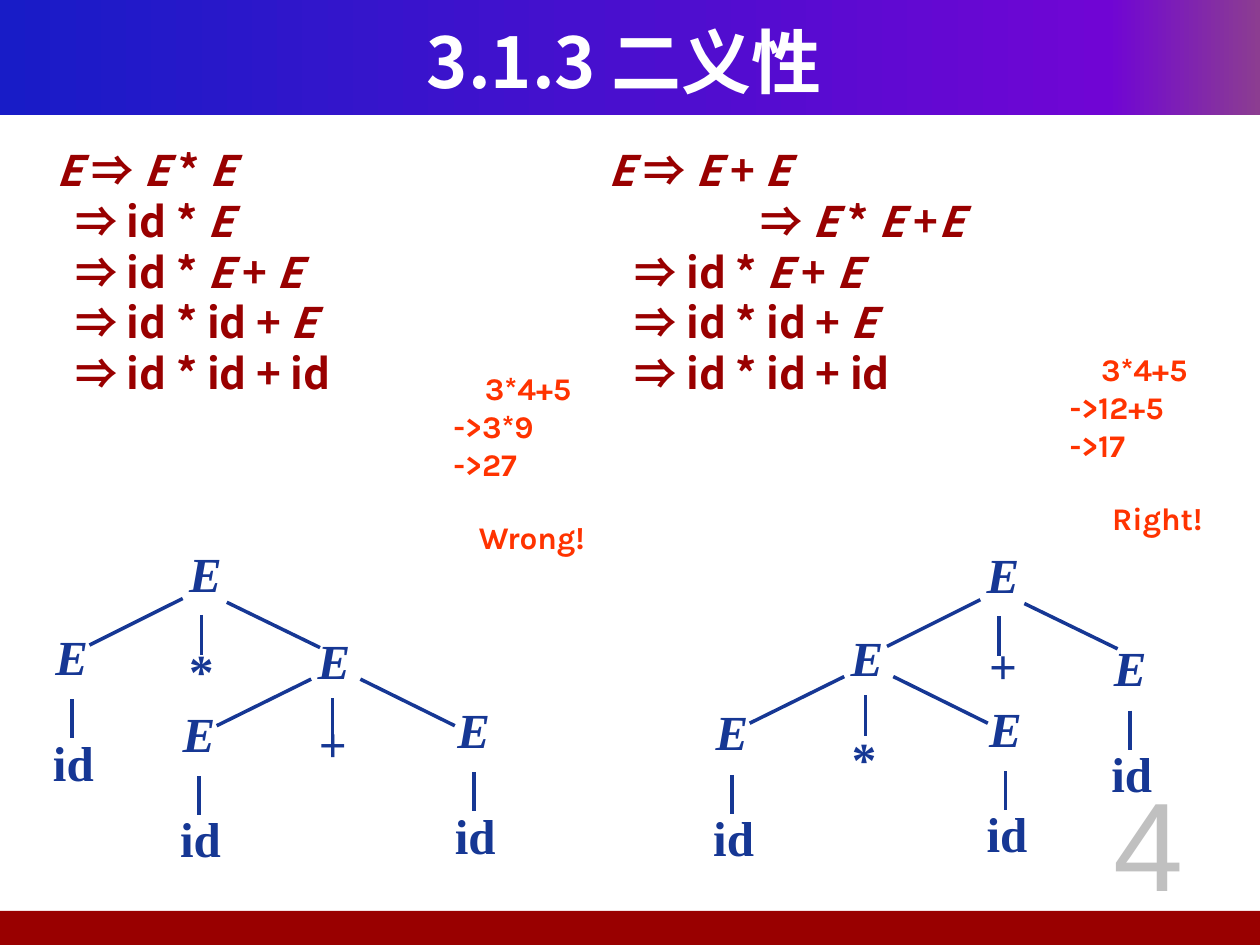
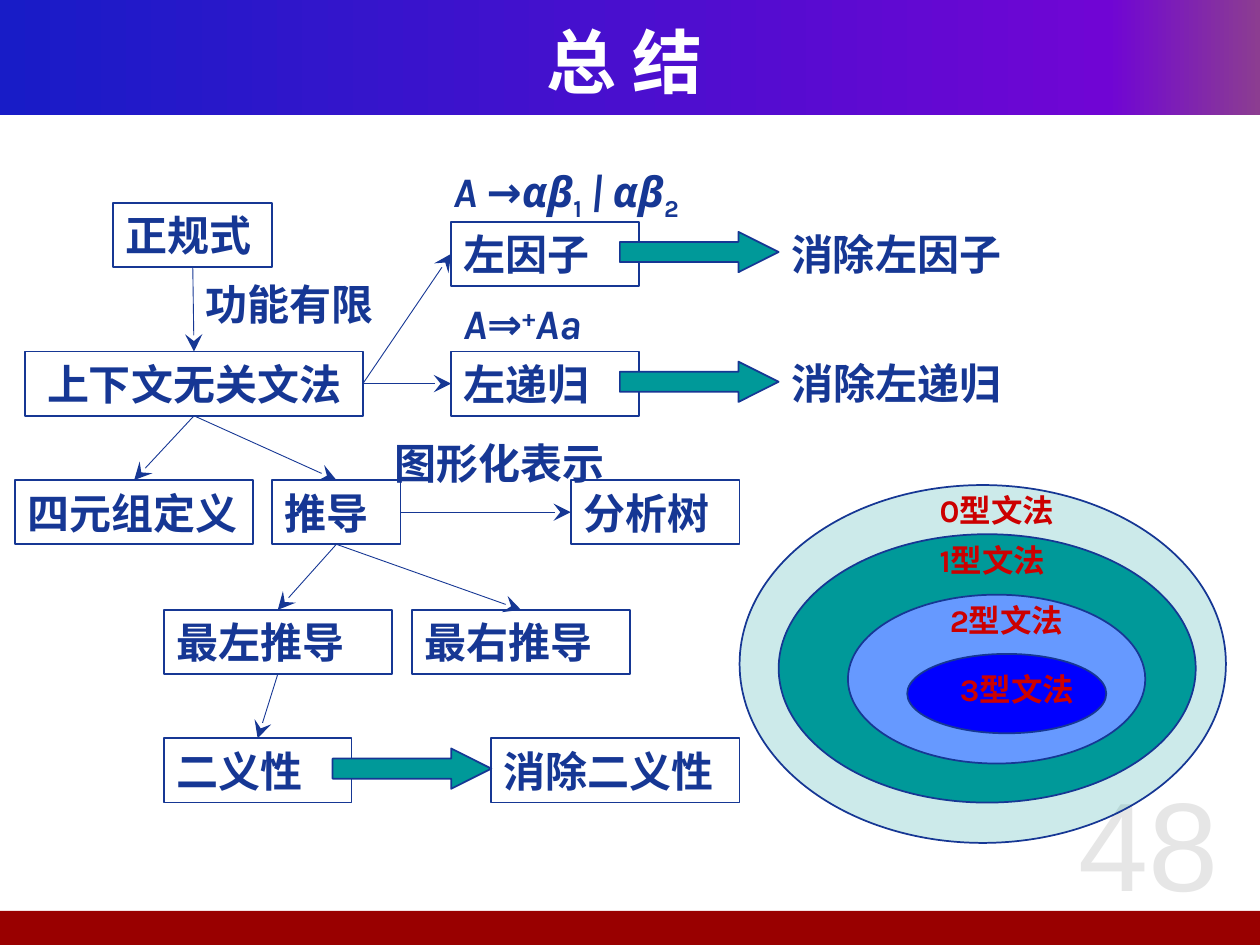
from copy import deepcopy
from itertools import groupby

from lxml.etree import SubElement
from pptx import Presentation
from pptx.dml.color import RGBColor
from pptx.enum.shapes import MSO_CONNECTOR, MSO_SHAPE
from pptx.enum.text import MSO_ANCHOR as Anchor, MSO_AUTO_SIZE, PP_ALIGN as Align
from pptx.oxml.ns import qn
from pptx.util import Inches, Pt

NAVY = RGBColor(0x16, 0x37, 0x94)
MAROON = RGBColor(0x99, 0x00, 0x00)
WHITE = RGBColor(0xFF, 0xFF, 0xFF)
ORANGE = RGBColor(0xFF, 0x33, 0x00)
RED = RGBColor(0xCC, 0x00, 0x00)
TEAL = RGBColor(0x00, 0x99, 0x99)
SKY = RGBColor(0x66, 0x99, 0xFF)
BLUE = RGBColor(0x00, 0x00, 0xFF)
SILVER = RGBColor(0xC0, 0xC0, 0xC0)
PALE_GREY = RGBColor(0xE6, 0xE6, 0xE6)
BAND_STOPS = [(0, RGBColor(0x18, 0x1C, 0xC7)), (0.88, RGBColor(0x70, 0x05, 0xD4)),
              (1, RGBColor(0x8C, 0x3D, 0x91))]

CJK = "Noto Sans CJK SC"
KARLA = "Karla"
TIMES = "Times New Roman"
TOP, LEFT, BOTTOM, RIGHT = range(4)

ROOT_FORK = [(-0.03, 0.45, -0.77, 0.82), (0.32, 0.48, 1.06, 0.84), (0.12, 0.58, 0.12, 0.9)]
CHILD_FORK = [(-0.03, 0.4, -0.78, 0.77), (0.36, 0.4, 1.11, 0.77), (0.14, 0.55, 0.14, 0.87)]
LEAF_STEM = [(0.15, 0.59, 0.15, 0.9)]


def inches(*lengths):
    return [Inches(length) for length in lengths]


def add_span(para, text, size, font, color, bold=True, italic=False, baseline=0):
    span = para.add_run()
    span.text = text
    span.font.size = Pt(size)
    span.font.name = font
    span.font.bold = bold
    span.font.italic = italic
    span.font.color.rgb = color
    properties = span.font._element
    SubElement(properties, qn("a:ea")).set("typeface", CJK)
    if baseline:
        properties.set("baseline", str(baseline * 1000))


def set_frame(shape, anchor=Anchor.TOP, margins=(0.1, 0.05, 0.1, 0.05)):
    frame = shape.text_frame
    frame.word_wrap = True
    frame.auto_size = MSO_AUTO_SIZE.NONE
    frame.vertical_anchor = anchor
    (frame.margin_left, frame.margin_top,
     frame.margin_right, frame.margin_bottom) = inches(*margins)
    return frame


def add_frame(page, place, anchor=Anchor.TOP, margins=(0.1, 0.05, 0.1, 0.05)):
    return set_frame(page.shapes.add_textbox(*inches(*place)), anchor, margins)


def add_paras(frame, count):
    return [frame.paragraphs[0]] + [frame.add_paragraph() for _ in range(count - 1)]


def set_indent(para, indent):
    para._p.get_or_add_pPr().set("marL", str(Inches(indent)))


def add_figure(page, kind, place, fill=None, line=None, alpha=None):
    shape = page.shapes.add_shape(kind, *inches(*place))
    shape.shadow.inherit = False
    if fill is None:
        shape.fill.background()
    else:
        shape.fill.solid()
        shape.fill.fore_color.rgb = fill
    if alpha:
        color = shape.element.spPr.find(qn("a:solidFill"))[0]
        SubElement(color, qn("a:alpha")).set("val", str(alpha * 1000))
    if line is None:
        shape.line.fill.background()
    else:
        shape.line.color.rgb = line
        shape.line.width = Pt(1)
    return shape


def add_line(page, ends, width):
    line = page.shapes.add_connector(MSO_CONNECTOR.STRAIGHT, *inches(*ends))
    line.line.color.rgb = NAVY
    line.line.width = Pt(width)
    SubElement(line.element.spPr, qn("a:effectLst"))
    return line


def write_label(shape, text, size=24, color=NAVY, align=Align.LEFT):
    right_margin = 0.1 if align == Align.CENTER else 0
    frame = set_frame(shape, Anchor.MIDDLE, (0.1, 0.05, right_margin, 0.05))
    para = frame.paragraphs[0]
    para.alignment = align
    add_span(para, text, size, KARLA, color)


def add_label(page, text, place, **style):
    write_label(page.shapes.add_textbox(*inches(*place)), text, **style)


def add_box(page, text, left, top, width, align=Align.LEFT):
    box = add_figure(page, MSO_SHAPE.RECTANGLE, (left, top, width, 0.51), line=NAVY)
    write_label(box, text, align=align)
    return box


def add_link(page, start, start_side, end, end_side):
    link = add_line(page, (0, 0, 1, 1), 0.5)
    link.begin_connect(start, start_side)
    link.end_connect(end, end_side)
    tail = SubElement(link.element.spPr.find(qn("a:ln")), qn("a:tailEnd"))
    for name, value in (("type", "stealth"), ("w", "lg"), ("len", "lg")):
        tail.set(name, value)


def add_block_arrow(page, left, top):
    arrow = add_figure(page, MSO_SHAPE.RIGHT_ARROW, (left, top, 1.26, 0.32), TEAL, NAVY)
    arrow.adjustments[1] = 0.996


def add_formula(page, place, parts):
    para = add_frame(page, place, Anchor.MIDDLE).paragraphs[0]
    for text, italic, baseline in parts:
        add_span(para, text, 24, KARLA, NAVY, italic=italic, baseline=baseline)


def decorate_layout(page):
    header = add_figure(page, MSO_SHAPE.RECTANGLE, (0, 0, 10, 0.91))
    header.fill.gradient()
    header.fill.gradient_angle = 0
    first_stop = header.element.spPr.find(".//" + qn("a:gs"))
    first_stop.addnext(deepcopy(first_stop))
    for stop, (position, color) in zip(header.fill.gradient_stops, BAND_STOPS):
        stop.position = position
        stop.color.rgb = color
    footer = add_figure(page, MSO_SHAPE.RECTANGLE, (-0.04, 7.23, 10.04, 0.27), MAROON)
    layout_tree = page.slide_layout.shapes.element
    for number, band in enumerate((header, footer), start=101):
        band.element.nvSpPr.cNvPr.set("id", str(number))
        layout_tree.insert(2, band.element)


def add_page(deck, title, number, number_color):
    page = deck.slides.add_slide(deck.slide_layouts[5])
    heading = page.shapes.title
    heading.left, heading.top, heading.width, heading.height = inches(0.33, 0.17, 9.25, 0.62)
    para = set_frame(heading, Anchor.MIDDLE, (0, 0, 0, 0)).paragraphs[0]
    para.alignment = Align.CENTER
    add_span(para, title, 40, CJK, WHITE)
    para = add_frame(page, (8.23, 6.03, 1.77, 1.42)).paragraphs[0]
    para.alignment = Align.CENTER
    add_span(para, number, 72, "Arial", number_color, bold=False)
    return page


def add_derivation(page, left, steps):
    frame = add_frame(page, (left, 1.1, 4.4, 2.2))
    for para, (text, indent) in zip(add_paras(frame, len(steps)), steps):
        para.line_spacing = Pt(28.9)
        set_indent(para, indent)
        for is_symbol, letters in groupby(text, lambda letter: letter == "E"):
            add_span(para, "".join(letters), 24, CJK, MAROON, italic=is_symbol)


def add_evaluation(page, left, top, steps, verdict, verdict_place):
    frame = add_frame(page, (left, top, 1.34, 1))
    for para, step in zip(add_paras(frame, len(steps)), steps):
        add_span(para, step, 18, KARLA, ORANGE)
    set_indent(frame.paragraphs[0], 0.25)
    add_label(page, verdict, verdict_place, size=18, color=ORANGE, align=Align.CENTER)


def add_symbol(page, text, left, top):
    frame = add_frame(page, (left, top, 0.51, 0.55), margins=(0.02, 0.01, 0.02, 0.01))
    add_span(frame.paragraphs[0], text, 28, TIMES, NAVY, italic=text == "E")


def add_node(page, left, top, strokes):
    add_symbol(page, "E", left, top)
    for x1, y1, x2, y2 in strokes:
        add_line(page, (left + x1, top + y1, left + x2, top + y2), 2)


def add_tree(page, root, child, leaves, operators):
    add_node(page, *root, ROOT_FORK)
    add_node(page, *child, CHILD_FORK)
    for left, top in leaves:
        add_node(page, left, top, LEAF_STEM)
        add_symbol(page, "id", left - 0.02, top + 0.84)
    for operator in operators:
        add_symbol(page, *operator)


def build_ambiguity(page):
    add_derivation(page, 0.35, [
        ("E ⇒ E * E", 0), ("⇒ id * E", 0.15), ("⇒ id * E + E", 0.15),
        ("⇒ id * id + E", 0.15), ("⇒ id * id + id", 0.15)])
    add_derivation(page, 4.73, [
        ("E ⇒ E + E", 0), ("⇒ E * E +E", 1.21), ("⇒ id * E + E", 0.21),
        ("⇒ id * id + E", 0.21), ("⇒ id * id + id", 0.21)])
    add_tree(page, (1.48, 4.3), (2.5, 4.99),
             [(0.42, 4.96), (1.43, 5.57), (3.61, 5.54)],
             [("*", 1.48, 5.07), ("+", 2.51, 5.65)])
    add_tree(page, (7.81, 4.31), (6.73, 4.97),
             [(8.82, 5.05), (5.66, 5.56), (7.83, 5.53)],
             [("+", 7.83, 5.03), ("*", 6.74, 5.77)])
    add_evaluation(page, 3.5, 2.88, ["3*4+5", "->3*9", "->27"],
                   "Wrong!", (3.66, 4.06, 1.12, 0.4))
    add_evaluation(page, 8.39, 2.73, ["3*4+5", "->12+5", "->17"],
                   "Right!", (8.7, 3.91, 0.97, 0.4))


def build_summary(page):
    regular = add_box(page, "正规式", 0.9, 1.61, 1.26)
    context_free = add_box(page, "上下文无关文法", 0.2, 2.79, 2.68, Align.CENTER)
    four_tuple = add_box(page, "四元组定义", 0.12, 3.81, 1.89)
    derivation = add_box(page, "推导", 2.16, 3.81, 1.02)
    parse_tree = add_box(page, "分析树", 4.53, 3.81, 1.34)
    leftmost = add_box(page, "最左推导", 1.3, 4.84, 1.81)
    rightmost = add_box(page, "最右推导", 3.27, 4.84, 1.73)
    ambiguity = add_box(page, "二义性", 1.3, 5.86, 1.49)
    add_box(page, "消除二义性", 3.9, 5.86, 1.97)
    recursion = add_box(page, "左递归", 3.58, 2.79, 1.49)
    factor = add_box(page, "左因子", 3.58, 1.76, 1.49)

    for left, top in [(2.64, 5.94), (4.92, 2.87), (4.92, 1.84)]:
        add_block_arrow(page, left, top)
    for text, place in [("功能有限", (1.53, 2.16, 1.73, 0.5)),
                        ("图形化表示", (3.03, 3.42, 1.97, 0.5)),
                        ("消除左递归", (6.18, 2.79, 2.12, 0.5)),
                        ("消除左因子", (6.18, 1.76, 1.97, 0.5))]:
        add_label(page, text, place)
    add_formula(page, (3.5, 1.29, 2.33, 0.5), [
        ("A ", True, 0), ("→", False, 0), ("αβ", True, 0), ("1", False, -25),
        (" | αβ", True, 0), ("2", False, -25)])
    add_formula(page, (3.58, 2.31, 1.47, 0.5), [
        ("A", True, 0), ("⇒", False, 0), ("+", False, 30), ("Aa", True, 0)])

    for start, end in [(regular, context_free), (context_free, four_tuple),
                       (context_free, derivation), (derivation, leftmost),
                       (derivation, rightmost), (leftmost, ambiguity)]:
        add_link(page, start, BOTTOM, end, TOP)
    for start, end in [(context_free, factor), (context_free, recursion),
                       (derivation, parse_tree)]:
        add_link(page, start, RIGHT, end, LEFT)

    grammar_rings = [
        ((5.87, 3.85, 3.86, 2.84), TEAL, 20, (7.36, 3.85)),
        ((6.18, 4.24, 3.31, 2.13), TEAL, None, (7.36, 4.24)),
        ((6.73, 4.72, 2.36, 1.34), SKY, None, (7.44, 4.72)),
        ((7.2, 5.19, 1.58, 0.63), BLUE, None, (7.52, 5.27))]
    for level, (place, fill, alpha, label_corner) in enumerate(grammar_rings):
        add_figure(page, MSO_SHAPE.OVAL, place, fill, NAVY, alpha)
        add_label(page, f"{level}型文法", (*label_corner, 1.18, 0.4), size=18, color=RED)


def main():
    deck = Presentation()
    deck.slide_width, deck.slide_height = inches(10, 7.5)
    ambiguity_page = add_page(deck, "3.1.3 二义性", "4", SILVER)
    decorate_layout(ambiguity_page)
    build_ambiguity(ambiguity_page)
    build_summary(add_page(deck, "总 结", "48", PALE_GREY))
    deck.save("out.pptx")


if __name__ == "__main__":
    main()
